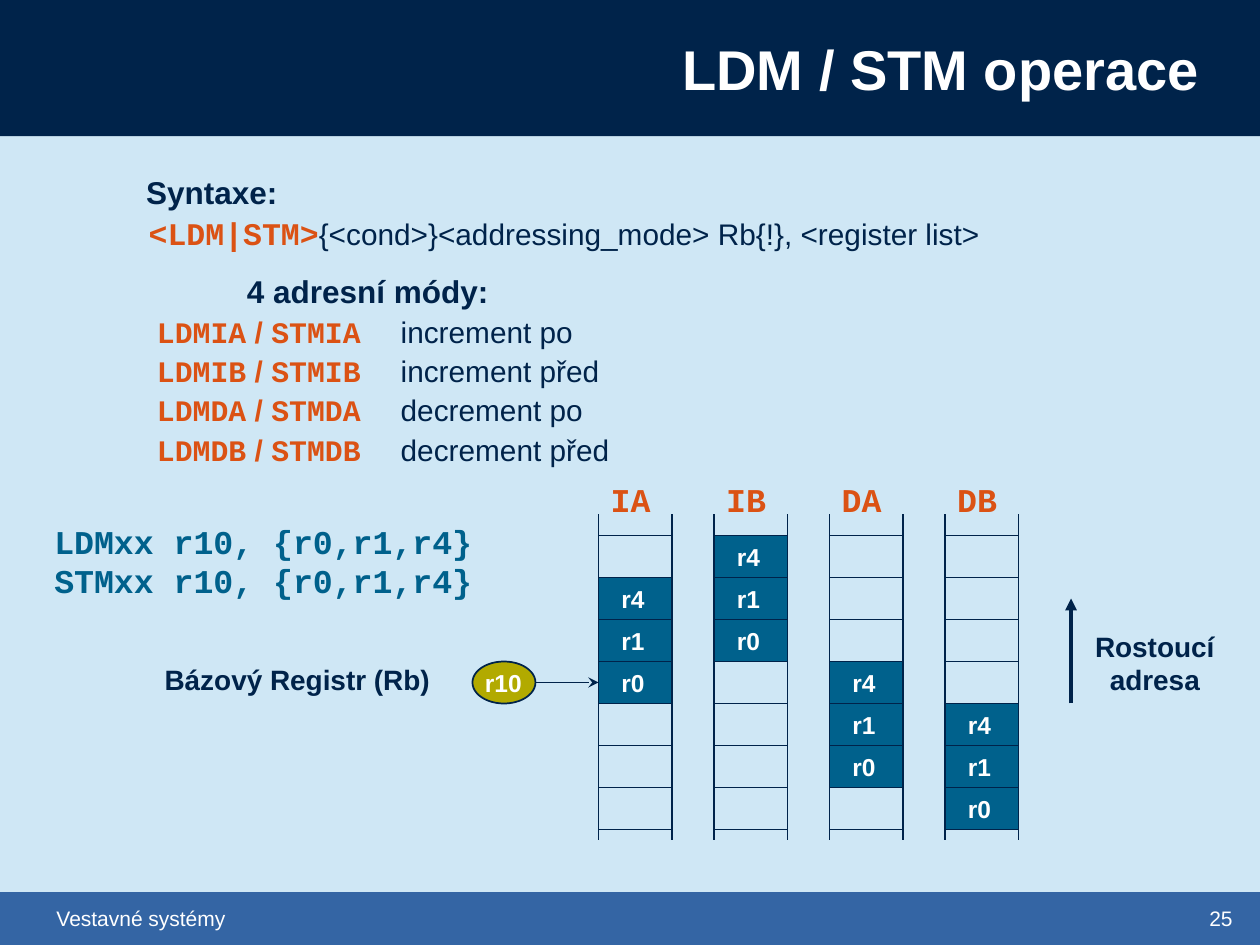
from lxml import etree
from pptx import Presentation
from pptx.dml.color import RGBColor
from pptx.enum.shapes import MSO_CONNECTOR, MSO_SHAPE
from pptx.enum.text import MSO_ANCHOR, MSO_AUTO_SIZE, PP_ALIGN
from pptx.oxml.ns import qn
from pptx.util import Inches, Pt

LEFT, CENTER, RIGHT = PP_ALIGN.LEFT, PP_ALIGN.CENTER, PP_ALIGN.RIGHT
RECT, OVAL = MSO_SHAPE.RECTANGLE, MSO_SHAPE.OVAL
COLORS = {"sky": "CFE7F5", "navy": "00234A", "blue": "3465A4", "teal": "00618C",
          "orange": "DB5214", "olive": "B2AA00", "white": "FFFFFF"}

# Text styles
SANS, MONO = "Arial", "Courier New"
STYLES = {
    "title": dict(name=SANS, size=32, bold=True, color="white"),
    "heading": dict(name=SANS, size=18, bold=True, color="navy"),
    "plain": dict(name=SANS, size=17, bold=False, color="navy"),
    "slash": dict(name=SANS, size=17, bold=True, color="orange"),
    "mnemonic": dict(name=MONO, size=17, bold=True, color="orange"),
    "syntax": dict(name=MONO, size=18, bold=True, color="orange"),
    "column": dict(name=MONO, size=19, bold=True, color="orange"),
    "code": dict(name=MONO, size=19, bold=True, color="teal"),
    "register": dict(name=SANS, size=14, bold=True, color="white"),
    "label": dict(name=SANS, size=16, bold=True, color="navy"),
    "footer": dict(name=SANS, size=12, bold=False, color="white"),
}

# Content
TITLE = "LDM / STM operace"
FOOTER, PAGE_NUMBER = "Vestavné systémy", "25"
MODES = [("IA", "increment po"), ("IB", "increment před"),
         ("DA", "decrement po"), ("DB", "decrement před")]
FIRST_ROWS = {"IA": 1, "IB": 0, "DA": 3, "DB": 4}
REGISTERS = ["r4", "r1", "r0"]
CODE = ["LDMxx r10, {r0,r1,r4}", "STMxx r10, {r0,r1,r4}"]

# Each body line: left margin, space before, spans
BODY = [
    (0, 11.2, [("Syntaxe:", "heading")]),
    (0.02, 2.1, [("<LDM|STM>", "syntax"),
                 ("{<cond>}<addressing_mode> Rb{!}, <register list>", "plain")]),
    (0.8, 11.2, [("4 adresní módy:", "heading")]),
] + [
    (0.02, 2.1, [(" ", "plain"), ("LDM" + mode, "mnemonic"), (" / ", "slash"),
                 (f"STM{mode}\t", "mnemonic"), (meaning, "plain")])
    for mode, meaning in MODES
]
MEANING_TAB = 2.32

# Memory grid, in twelfths of an inch
UNIT = 1 / 12
GRID_LEFT, GRID_TOP, PITCH, COLUMN, ROW, LINES = 57, 51, 11, 7, 4, 8
RAIL_TOP, RAIL_BOTTOM, HEADING_TOP = 49, 80, 45
BASE_ROW = 3

deck = Presentation()
deck.slide_width, deck.slide_height = Inches(10), Inches(7.5)
page = deck.slides.add_slide(deck.slide_layouts[1])
title, body = page.placeholders


def rgb(name):
    return RGBColor.from_string(COLORS[name])


def put(shape, left, top, width, height):
    shape.left, shape.top = Inches(left), Inches(top)
    shape.width, shape.height = Inches(width), Inches(height)


def style_span(span, style):
    for key, value in STYLES[style].items():
        if key == "color":
            span.font.color.rgb = rgb(value)
        else:
            setattr(span.font, key, Pt(value) if key == "size" else value)


def write(shape, lines, style, align=CENTER, wrap=False):
    frame = shape.text_frame
    frame.auto_size = MSO_AUTO_SIZE.NONE
    frame.word_wrap = wrap
    frame.vertical_anchor = MSO_ANCHOR.MIDDLE
    for index, line in enumerate(lines):
        para = frame.add_paragraph() if index else frame.paragraphs[0]
        para.text, para.alignment = line, align
        for span in para.runs:
            style_span(span, style)


def add_label(area, lines, style):
    box = page.shapes.add_textbox(*map(Inches, area))
    write(box, lines, style)


def add_block(kind, area, fill, line=None):
    block = page.shapes.add_shape(kind, *map(Inches, area))
    block.shadow.inherit = False
    block.fill.solid()
    block.fill.fore_color.rgb = rgb(fill)
    if line:
        block.line.color.rgb, block.line.width = rgb(line), Pt(1)
    else:
        block.line.fill.background()
    return block


def add_line(x1, y1, x2, y2, width=1, head=None):
    """Draw a line between two points given in grid units."""
    line = page.shapes.add_connector(
        MSO_CONNECTOR.STRAIGHT, *(Inches(v * UNIT) for v in (x1, y1, x2, y2)))
    line.line.color.rgb, line.line.width = rgb("navy"), Pt(width)
    properties = line._element.spPr
    if head:
        etree.SubElement(properties.find(qn("a:ln")), qn("a:tailEnd"), type=head)
    etree.SubElement(properties, qn("a:effectLst"))


# Background and bars, behind the title
page.background.fill.solid()
page.background.fill.fore_color.rgb = rgb("sky")
for area, fill in [((0, 0, 10, 1.08), "navy"), ((0, 7.08, 10, 0.42), "blue")]:
    title._element.addprevious(add_block(RECT, area, fill)._element)
for area, text in [((0.35, 7.14, 8.33, 0.3), FOOTER), ((9.5, 7.14, 0.5, 0.3), PAGE_NUMBER)]:
    write(add_block(RECT, area, "blue"), [text], "footer", LEFT)

# Title
put(title, 2.17, 0, 7.45, 1.08)
write(title, [TITLE], "title", RIGHT, wrap=True)

# Syntax and addressing modes
put(body, 0.58, 1.25, 9.08, 2.58)
frame = body.text_frame
frame.auto_size = MSO_AUTO_SIZE.NONE
frame.vertical_anchor = MSO_ANCHOR.MIDDLE
frame.margin_left = Inches(0.58)
for index, (margin, space, spans) in enumerate(BODY):
    para = frame.add_paragraph() if index else frame.paragraphs[0]
    para.space_before = Pt(space)
    properties = para._p.get_or_add_pPr()
    properties.set("marL", str(Inches(margin)))
    properties.set("indent", "0")
    etree.SubElement(properties, qn("a:buNone"))
    tabs = etree.SubElement(properties, qn("a:tabLst"))
    etree.SubElement(tabs, qn("a:tab"), pos=str(Inches(MEANING_TAB)), algn="l")
    for text, style in spans:
        span = para.add_run()
        span.text = text
        style_span(span, style)

# Memory columns
for index, (mode, _) in enumerate(MODES):
    left = GRID_LEFT + index * PITCH
    right = left + COLUMN
    top = GRID_TOP + FIRST_ROWS[mode] * ROW
    add_block(RECT, (left * UNIT, top * UNIT, COLUMN * UNIT, len(REGISTERS) * ROW * UNIT),
              "teal", "navy")
    for x in (left, right):
        add_line(x, RAIL_TOP, x, RAIL_BOTTOM)
    for row in range(LINES):
        y = GRID_TOP + row * ROW
        add_line(left, y, right, y)
    for row, register in enumerate(REGISTERS):
        add_label(((left + 1) * UNIT, (top + row * ROW) * UNIT, 0.38, 0.34),
                  [register], "register")
    add_label((left * UNIT, HEADING_TOP * UNIT, 0.51, 0.42), [mode], "column")

# Base register and its pointer
base_top = GRID_TOP + BASE_ROW * ROW
base_middle = base_top + ROW / 2
add_block(OVAL, (3.75, base_top * UNIT, 0.5, ROW * UNIT), "olive", "navy")
add_label((3.75, base_top * UNIT, 0.49, 0.34), ["r10"], "register")
add_line(GRID_LEFT - 6, base_middle, GRID_LEFT, base_middle, head="stealth")
add_label((1.21, 5.21, 2.3, 0.37), ["Bázový Registr (Rb)"], "label")

# Address direction and code
add_line(102, 67, 102, 57, width=2.25, head="triangle")
add_label((8.59, 4.94, 1.15, 0.64), ["Rostoucí\vadresa"], "label")
add_label((0.33, 4.08, 3.52, 0.74), CODE, "code")

deck.save("out.pptx")
